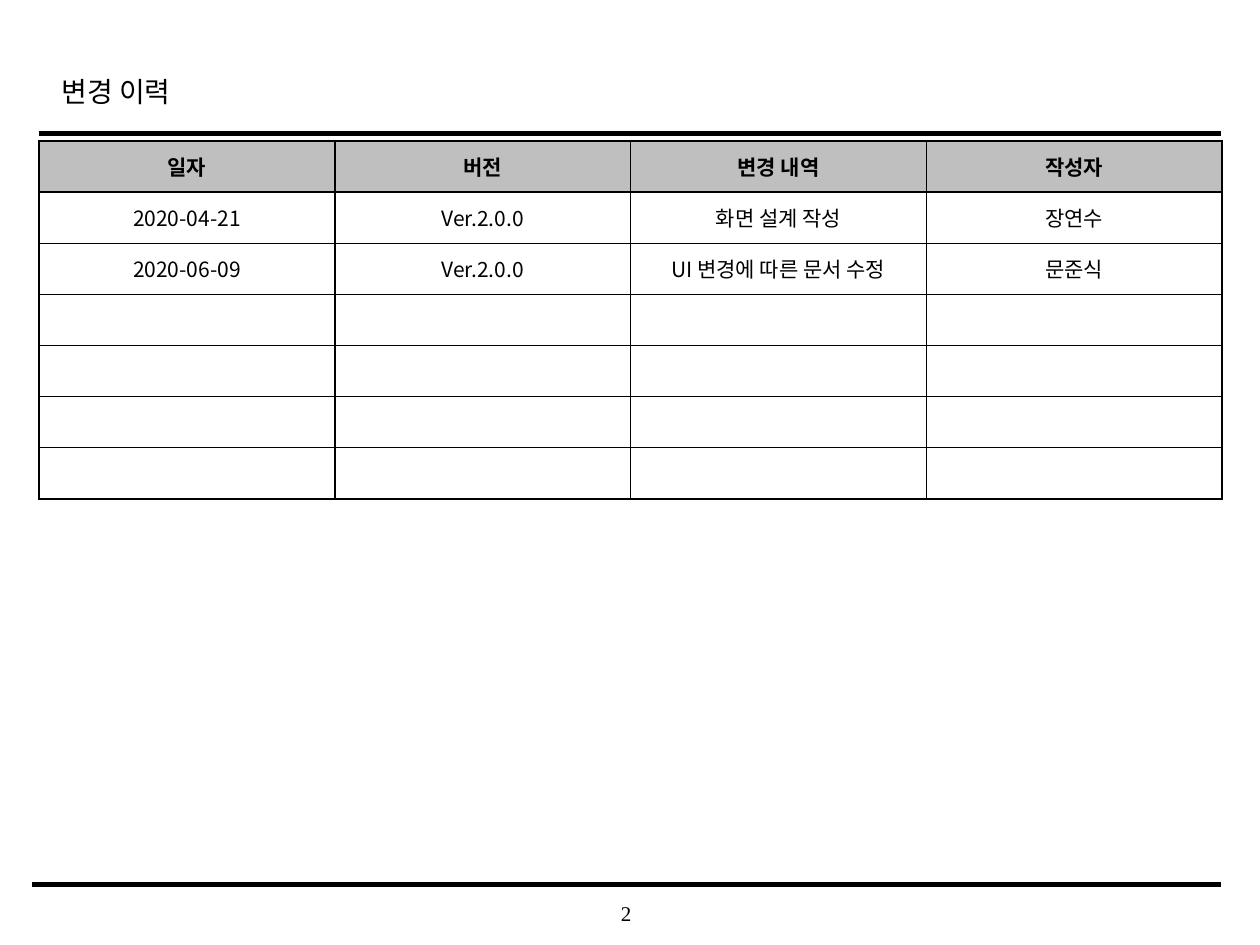
from lxml.etree import SubElement
from pptx import Presentation
from pptx.dml.color import RGBColor
from pptx.enum.shapes import MSO_CONNECTOR
from pptx.enum.text import MSO_ANCHOR, PP_ALIGN
from pptx.oxml.ns import qn
from pptx.util import Inches, Pt

BLACK, GRAY, WHITE = "000000", "BFBFBF", "FFFFFF"
KOREAN_FONT = "Noto Sans CJK KR"
HISTORY = [
    ["일자", "버전", "변경 내역", "작성자"],
    ["2020-04-21", "Ver.2.0.0", "화면 설계 작성", "장연수"],
    ["2020-06-09", "Ver.2.0.0", "UI 변경에 따른 문서 수정", "문준식"],
]
ROW_COUNT = 7


def color(value):
    return RGBColor.from_string(value)


def style_paragraph(paragraph, size, name=KOREAN_FONT, bold=False, align=PP_ALIGN.LEFT):
    paragraph.alignment = align
    font = paragraph.font
    font.name, font.size, font.bold = name, Pt(size), bold
    font.color.rgb = color(BLACK)
    properties = paragraph._p.pPr.find(qn("a:defRPr"))
    SubElement(properties, qn("a:ea"), typeface=name)


def add_text(slide, text, left, top, width, height, anchor=MSO_ANCHOR.TOP):
    shape = slide.shapes.add_textbox(*map(Inches, (left, top, width, height)))
    frame = shape.text_frame
    frame.word_wrap = True
    frame.vertical_anchor = anchor
    frame.text = text
    return frame


def add_rule(slide, left, right, top, weight):
    rule = slide.shapes.add_connector(
        MSO_CONNECTOR.STRAIGHT, Inches(left), Inches(top), Inches(right), Inches(top))
    rule.line.color.rgb = color(BLACK)
    rule.line.width = Pt(weight)
    SubElement(rule._element.spPr, qn("a:effectLst"))


def set_borders(cell, weight):
    properties = cell._tc.get_or_add_tcPr()
    for position, side in enumerate(("a:lnL", "a:lnR", "a:lnT", "a:lnB")):
        line = properties.makeelement(qn(side), {"w": str(Pt(weight))})
        fill = SubElement(line, qn("a:solidFill"))
        SubElement(fill, qn("a:srgbClr"), val=BLACK)
        properties.insert(position, line)


def add_history_table(slide):
    column_count = len(HISTORY[0])
    column_width, row_height = Inches(9.39 / column_count), Inches(2.84 / ROW_COUNT)
    table = slide.shapes.add_table(
        ROW_COUNT, column_count, Inches(0.31), Inches(1.12),
        column_width * column_count, row_height * ROW_COUNT).table
    blank_rows = [[""] * column_count] * (ROW_COUNT - len(HISTORY))
    for row_index, values in enumerate(HISTORY + blank_rows):
        is_header = row_index == 0
        for column_index, value in enumerate(values):
            cell = table.cell(row_index, column_index)
            cell.text = value
            cell.vertical_anchor = MSO_ANCHOR.MIDDLE
            cell.fill.solid()
            cell.fill.fore_color.rgb = color(GRAY if is_header else WHITE)
            style_paragraph(cell.text_frame.paragraphs[0], 12,
                            bold=is_header, align=PP_ALIGN.CENTER)
            set_borders(cell, 1)


def add_page_number(slide, number):
    frame = add_text(slide, number, 3.93, 7.08, 2.08, 0.33, MSO_ANCHOR.MIDDLE)
    frame.margin_left = frame.margin_right = frame.margin_top = frame.margin_bottom = 0
    style_paragraph(frame.paragraphs[0], 12, "Times New Roman", align=PP_ALIGN.CENTER)


def add_title(slide, text):
    paragraph = add_text(slide, text, 0.39, 0.49, 7.55, 0.5).paragraphs[0]
    paragraph.line_spacing = 1.2
    style_paragraph(paragraph, 16)


def main():
    presentation = Presentation()
    presentation.slide_width, presentation.slide_height = Inches(10), Inches(7.5)
    slide = presentation.slides.add_slide(presentation.slide_layouts[6])
    add_page_number(slide, "2")
    add_rule(slide, 0.31, 9.69, 1.06, 2.5)
    add_rule(slide, 0.25, 9.69, 7.02, 3)
    add_title(slide, "변경 이력")
    add_history_table(slide)
    presentation.save("out.pptx")


if __name__ == "__main__":
    main()
